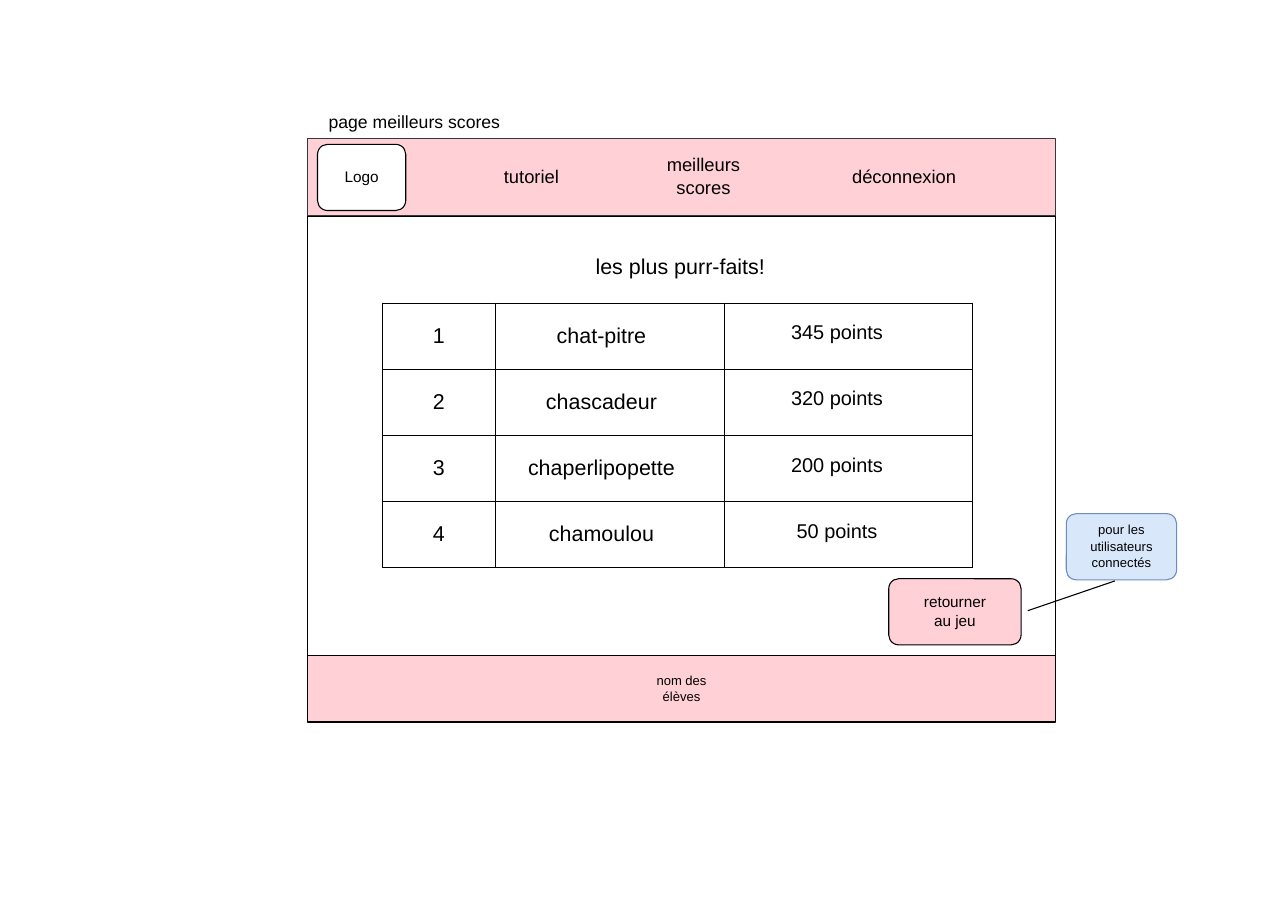
from pptx import Presentation
from pptx.dml.color import RGBColor
from pptx.enum.shapes import MSO_CONNECTOR, MSO_SHAPE
from pptx.enum.text import MSO_ANCHOR, PP_ALIGN
from pptx.oxml import parse_xml
from pptx.oxml.ns import nsdecls
from pptx.util import Inches, Pt

RECT, ROUNDED = MSO_SHAPE.RECTANGLE, MSO_SHAPE.ROUNDED_RECTANGLE
STRAIGHT = MSO_CONNECTOR.STRAIGHT
MIDDLE = MSO_ANCHOR.MIDDLE
LEFT, CENTER = PP_ALIGN.LEFT, PP_ALIGN.CENTER
color = RGBColor.from_string
BLACK, WHITE, PINK, BLUE, BLUE_EDGE = "000000", "FFFFFF", "FFD0D6", "D9E7FB", "6B8EBE"
THIN = Pt(0.72)


def write(frame, text, size, side=0, align=CENTER):
    """Fill a text frame, with equal side insets that decide where lines wrap."""
    frame.text = text
    frame_format = {
        "word_wrap": True, "vertical_anchor": MIDDLE,
        "margin_left": Inches(side), "margin_right": Inches(side),
        "margin_top": 0, "margin_bottom": Inches(0.02),
    }
    for attribute, value in frame_format.items():
        setattr(frame, attribute, value)
    style_paragraph(frame.paragraphs[0], size, align)


def style_paragraph(paragraph, size, align):
    paragraph.alignment = align
    paragraph.line_spacing = 1.04
    font = paragraph.runs[0].font
    font.name, font.size = "Arial", Pt(size)
    font.color.rgb = color(BLACK)


prs = Presentation()
prs.slide_width, prs.slide_height = Inches(11.68), Inches(8.3)
slide = prs.slides.add_slide(prs.slide_layouts[5])

# Page frame, buttons and note: kind, bounds, fill, edge, text, size, side inset
panels = [
    (RECT, (2.79, 1.26, 6.78, 0.7), PINK, "36383C", "", 0, 0),
    (RECT, (2.79, 1.96, 6.78, 3.99), None, BLACK, "", 0, 0),
    (RECT, (2.79, 5.95, 6.78, 0.6), PINK, BLACK, "nom des élèves", 8.5, 3.1),
    (ROUNDED, (2.88, 1.31, 0.8, 0.6), WHITE, BLACK, "Logo", 10, 0),
    (ROUNDED, (8.06, 5.25, 1.2, 0.6), PINK, BLACK, "retourner au jeu", 10, 0.25),
    (ROUNDED, (9.67, 4.66, 1, 0.6), BLUE, BLUE_EDGE,
     "pour les utilisateurs connectés", 8.5, 0.15),
]
for kind, bounds, fill, edge, text, size, side in panels:
    panel = slide.shapes.add_shape(kind, *map(Inches, bounds))
    panel.shadow.inherit = False
    if kind == ROUNDED:
        panel.adjustments[0] = 0.15
    if fill:
        panel.fill.solid()
        panel.fill.fore_color.rgb = color(fill)
    else:
        panel.fill.background()
    panel.line.color.rgb = color(edge)
    panel.line.width = THIN
    if text:
        write(panel.text_frame, text, size, side)

# Menu entries and page label
labels = [
    ((4.47, 1.37, 0.7, 0.46), "tutoriel", 12, CENTER),
    ((6.03, 1.37, 0.7, 0.46), "meilleurs scores", 12, CENTER),
    ((7.6, 1.37, 1.2, 0.46), "déconnexion", 12, CENTER),
    ((2.98, 1, 2, 0.22), "page meilleurs scores", 11.5, LEFT),
]
for bounds, text, size, align in labels:
    label = slide.shapes.add_textbox(*map(Inches, bounds))
    write(label.text_frame, text, size, align=align)

title = slide.shapes.title
title.left, title.top, title.width, title.height = map(Inches, (5.17, 2.27, 2, 0.3))
write(title.text_frame, "les plus purr-faits!", 14)

# Score table
scores = [
    ("1", "chat-pitre", "345 points"),
    ("2", "chascadeur", "320 points"),
    ("3", "chaperlipopette", "200 points"),
    ("4", "chamoulou", "50 points"),
]
# width, text size, right inset, bottom inset, fill
columns = [
    (1.02, 14, 0, 0.02, None),
    (2.08, 14, 0.15, 0.02, None),
    (2.25, 13, 0.21, 0.07, WHITE),
]
table = slide.shapes.add_table(
    len(scores), len(columns), Inches(3.47), Inches(2.75), Inches(5.35), Inches(2.4)).table
table.first_row = table.horz_banding = False
for column, (width, *_) in zip(table.columns, columns):
    column.width = Inches(width)

for row, entry in enumerate(scores):
    table.rows[row].height = Inches(0.6)
    for col, (_, size, right, bottom, fill) in enumerate(columns):
        cell = table.cell(row, col)
        cell.text = entry[col]
        cell_format = {
            "vertical_anchor": MIDDLE, "margin_left": 0, "margin_right": Inches(right),
            "margin_top": 0, "margin_bottom": Inches(bottom),
        }
        for attribute, value in cell_format.items():
            setattr(cell, attribute, value)
        style_paragraph(cell.text_frame.paragraphs[0], size, CENTER)
        properties = cell._tc.get_or_add_tcPr()
        for side in ("lnL", "lnR", "lnT", "lnB"):
            properties.append(parse_xml(
                f'<a:{side} {nsdecls("a")} w="{Pt(0.75)}"><a:solidFill>'
                f'<a:srgbClr val="{BLACK}"/></a:solidFill></a:{side}>'))
        if fill:
            cell.fill.solid()
            cell.fill.fore_color.rgb = color(fill)
        else:
            cell.fill.background()

# Line from the note to the button
note_line = slide.shapes.add_connector(STRAIGHT, *map(Inches, (10.11, 5.27, 9.32, 5.54)))
note_line.line.color.rgb = color(BLACK)
note_line.line.width = THIN
note_line._element.spPr.append(parse_xml(f'<a:effectLst {nsdecls("a")}/>'))

prs.save("out.pptx")
